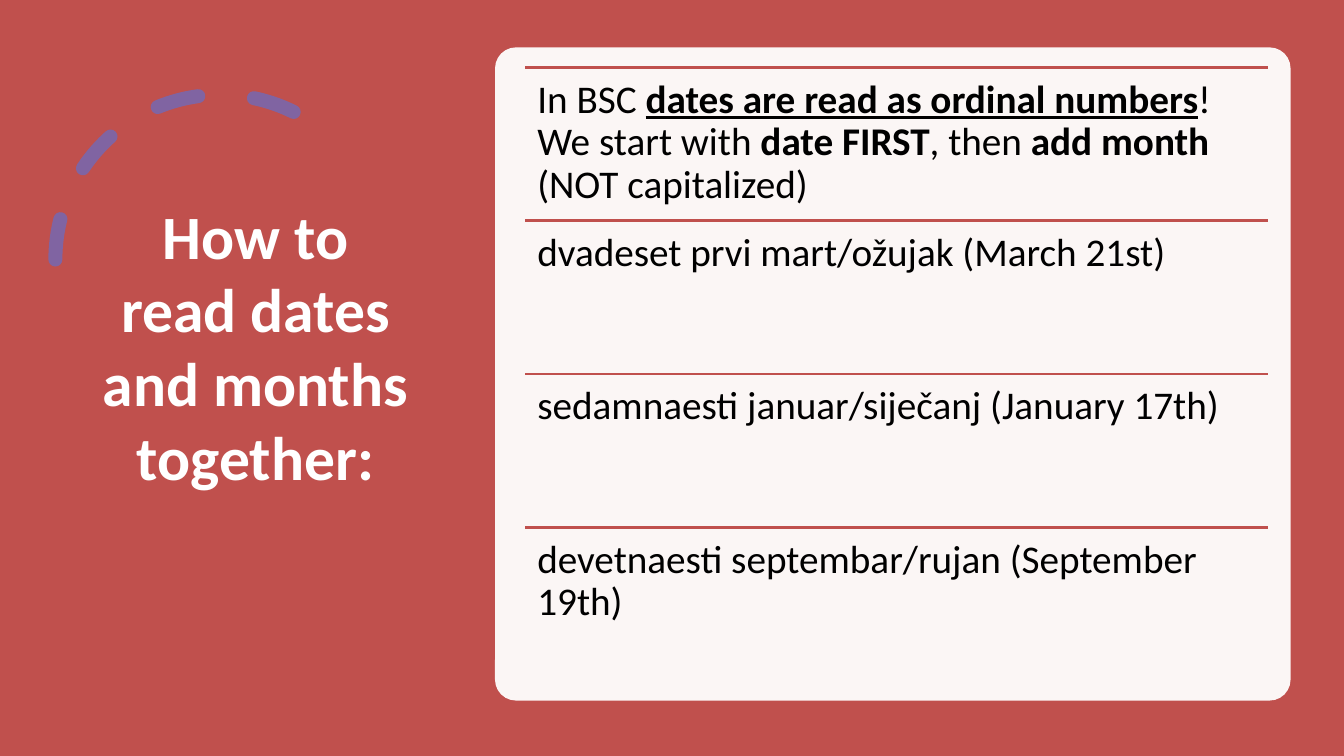
from dataclasses import dataclass

from lxml import etree
from pptx import Presentation
from pptx.dml.color import RGBColor
from pptx.enum.dml import MSO_LINE
from pptx.enum.shapes import MSO_CONNECTOR, MSO_SHAPE
from pptx.enum.text import MSO_ANCHOR, PP_ALIGN
from pptx.oxml.ns import qn
from pptx.util import Inches, Pt

RECT, ROUNDED, ARC = MSO_SHAPE.RECTANGLE, MSO_SHAPE.ROUNDED_RECTANGLE, MSO_SHAPE.ARC
STRAIGHT, DASH = MSO_CONNECTOR.STRAIGHT, MSO_LINE.DASH
TOP, MIDDLE = MSO_ANCHOR.TOP, MSO_ANCHOR.MIDDLE
LEFT, CENTER = PP_ALIGN.LEFT, PP_ALIGN.CENTER


@dataclass(frozen=True)
class Theme:
    font: str = "Calibri"
    red: RGBColor = RGBColor(0xC0, 0x50, 0x4D)
    purple: RGBColor = RGBColor(0x80, 0x64, 0xA2)
    white: RGBColor = RGBColor(0xFF, 0xFF, 0xFF)
    black: RGBColor = RGBColor(0, 0, 0)
    title_size: int = 44
    body_size: int = 28
    rule_width: int = 2
    arc_width: int = 10


THEME = Theme()
WIDTH, HEIGHT = 13.33, 7.5

TITLE = "How to read dates and months together:"
PLAIN, BOLD, KEY = (False, False), (True, False), (True, True)  # bold, underline
RULES = [
    [("In BSC ", PLAIN), ("dates are read as ordinal numbers", KEY),
     ("! We start with ", PLAIN), ("date FIRST", BOLD), (", then ", PLAIN),
     ("add month", BOLD), (" (NOT capitalized)", PLAIN)],
    [("dvadeset prvi mart/ožujak (March 21st)", PLAIN)],
    [("sedamnaesti januar/siječanj (January 17th)", PLAIN)],
    [("devetnaesti septembar/rujan (September 19th)", PLAIN)],
]


def inches(*lengths):
    return [Inches(length) for length in lengths]


def add_panel(slide, kind, box, color):
    panel = slide.shapes.add_shape(kind, *inches(*box))
    panel.shadow.inherit = False
    panel.fill.solid()
    panel.fill.fore_color.rgb = color
    panel.line.fill.background()
    return panel


def add_text(slide, box, runs, size, color, align, anchor, insets, spacing=1.0):
    frame = slide.shapes.add_textbox(*inches(*box)).text_frame
    frame.word_wrap = True
    frame.vertical_anchor = anchor
    (frame.margin_left, frame.margin_top,
     frame.margin_right, frame.margin_bottom) = inches(*insets)
    paragraph = frame.paragraphs[0]
    paragraph.alignment = align
    paragraph.line_spacing = spacing
    for words, (bold, underline) in runs:
        run = paragraph.add_run()
        run.text = words
        run.font.name = THEME.font
        run.font.size = Pt(size)
        run.font.color.rgb = color
        run.font.bold = bold
        run.font.underline = underline


def add_rule(slide, left, top, width):
    rule = slide.shapes.add_connector(
        STRAIGHT, *inches(left, top, left + width, top))
    rule.line.color.rgb = THEME.red
    rule.line.width = Pt(THEME.rule_width)
    etree.SubElement(rule._element.spPr, qn("a:effectLst"))


def add_dashed_arc(slide, left, top, side):
    arc = slide.shapes.add_shape(ARC, *inches(left, top, side, side))
    arc.shadow.inherit = False
    arc.adjustments[0], arc.adjustments[1] = 146.13, 0
    arc.fill.background()
    arc.line.color.rgb = THEME.purple
    arc.line.width = Pt(THEME.arc_width)
    arc.line.dash_style = DASH
    # Mirrored arc with rounded dashes
    arc._element.spPr.find(qn("a:xfrm")).set("flipH", "1")
    arc._element.spPr.find(qn("a:ln")).set("cap", "rnd")


def title_region(slide, left, top, width, height):
    add_dashed_arc(slide, left - 0.37, top + 0.24, 3.27)
    # The deep bottom inset lifts the title above the middle
    add_text(slide, (left, top, width, height), [(TITLE, BOLD)],
             THEME.title_size, THEME.white, CENTER, MIDDLE,
             (0.1, 0.05, 0.1, 0.69))


def rules_region(slide, left, top, width, height):
    # Translucent card
    card = add_panel(slide, ROUNDED, (left, top, width, height), THEME.white)
    card.adjustments[0] = 0.032
    tint = card._element.spPr.find(qn("a:solidFill"))[0]
    etree.SubElement(tint, qn("a:alpha")).set("val", "95000")

    # Equal rows, each under its own line
    row_left, row_width = left + 0.3, width - 0.52
    row_height = (height - 0.4) / len(RULES)
    for index, runs in enumerate(RULES):
        row_top = top + 0.2 + index * row_height
        add_rule(slide, row_left, row_top, row_width)
        add_text(slide, (row_left, row_top, row_width, row_height), runs,
                 THEME.body_size, THEME.black, LEFT, TOP, [0.12] * 4, 0.9)


def main():
    deck = Presentation()
    deck.slide_width, deck.slide_height = inches(WIDTH, HEIGHT)
    slide = deck.slides.add_slide(deck.slide_layouts[6])
    add_panel(slide, RECT, (0, 0, WIDTH, HEIGHT), THEME.red)
    title_region(slide, 0.92, 0.7, 3.23, 6.09)
    rules_region(slide, 4.91, 0.47, 7.89, 6.48)
    deck.save("out.pptx")


if __name__ == "__main__":
    main()
